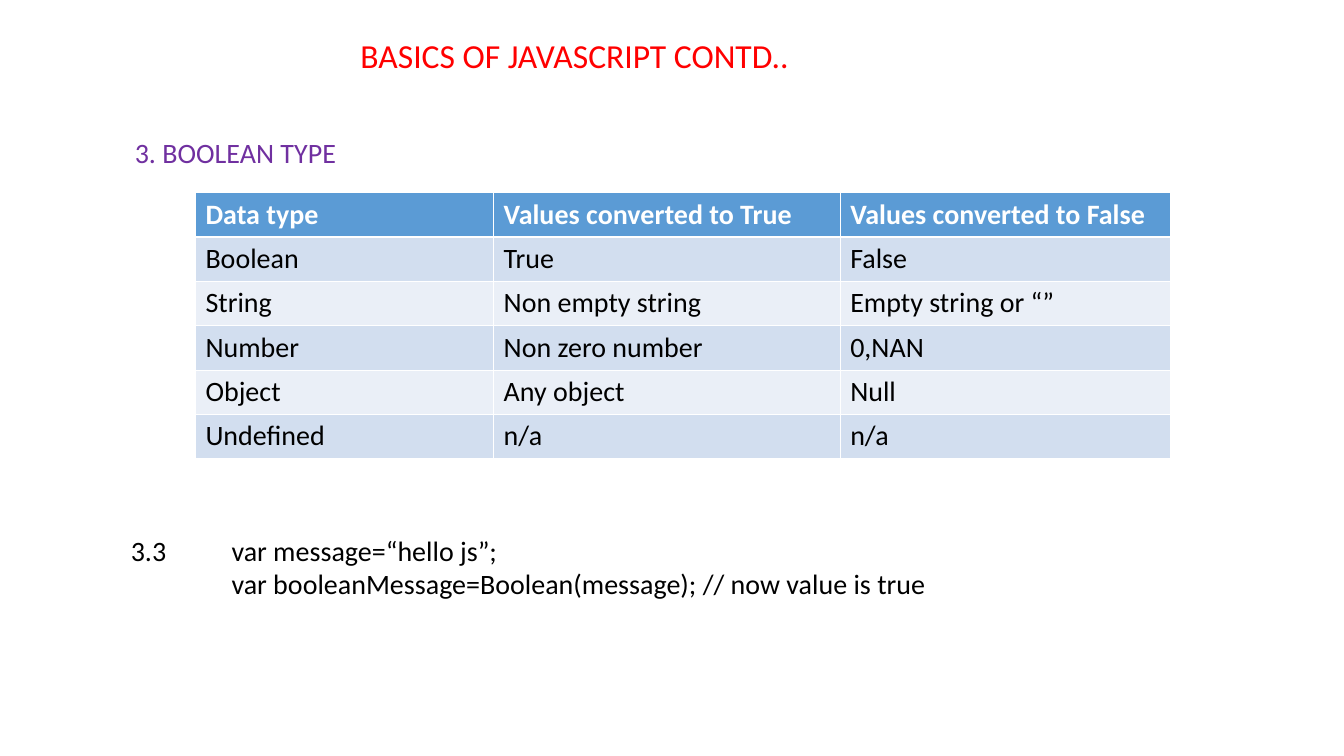
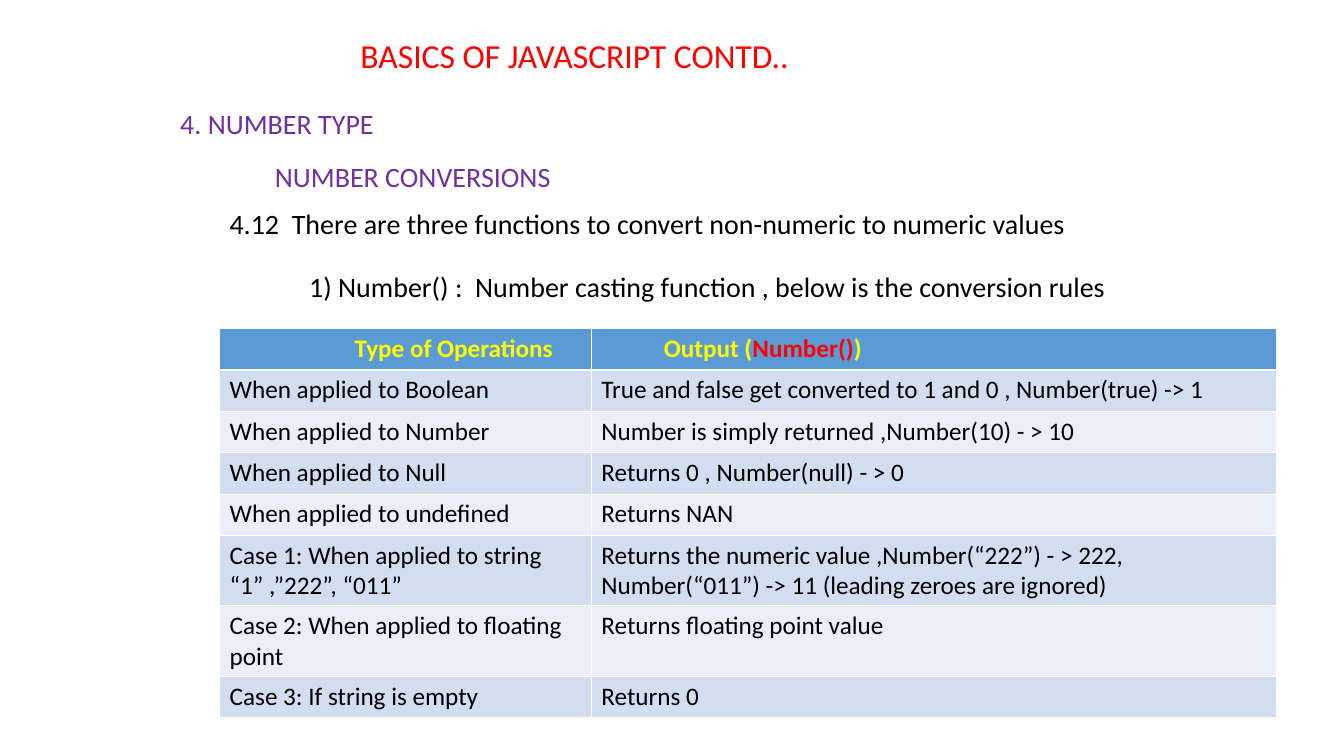
"""Build two slides on JavaScript boolean and number conversions."""
import lxml.etree
import pptx
import pptx.dml.color
import pptx.enum.text
import pptx.oxml.ns
import pptx.util

RGB = pptx.dml.color.RGBColor
RED = RGB(0xFF, 0x00, 0x00)
PURPLE = RGB(0x70, 0x30, 0xA0)
YELLOW = RGB(0xFF, 0xFF, 0x00)
BLACK = RGB(0x00, 0x00, 0x00)
WHITE = RGB(0xFF, 0xFF, 0xFF)
HEADER_BLUE = RGB(0x5B, 0x9B, 0xD5)
BANDS = (RGB(0xEA, 0xEF, 0xF7), RGB(0xD2, 0xDE, 0xEF))
PX = 9144
THIN, THICK = 0.45, 1.47
CELL_INSET = 10


def add_element(parent, tag, **attributes):
    element = lxml.etree.SubElement(parent, pptx.oxml.ns.qn(tag))
    for key, value in attributes.items():
        element.set(key, str(value))
    return element


class Deck:
    def __init__(self, width, height):
        self.presentation = pptx.Presentation()
        self.presentation.slide_width = width * PX
        self.presentation.slide_height = height * PX
        self.slide = None

    def new_slide(self, title):
        layout = self.presentation.slide_layouts[6]
        self.slide = self.presentation.slides.add_slide(layout)
        self.text((348, 30, 497, 50), [title], size=24, color=RED)

    def run(self, paragraph, text, size, color, bold=False):
        run = paragraph.add_run()
        run.text = text
        style = {"name": "Calibri", "size": pptx.util.Pt(size), "bold": bold}
        for key, value in style.items():
            setattr(run.font, key, value)
        run.font.color.rgb = color

    def text(self, box, lines, size=20, color=BLACK, indent=0, tab=0):
        shape = self.slide.shapes.add_textbox(*(length * PX for length in box))
        frame = shape.text_frame
        layout = {
            "word_wrap": True,
            "auto_size": pptx.enum.text.MSO_AUTO_SIZE.SHAPE_TO_FIT_TEXT,
        }
        for key, value in layout.items():
            setattr(frame, key, value)
        for index, line in enumerate(lines):
            paragraph = frame.add_paragraph() if index else frame.paragraphs[0]
            properties = paragraph._p.get_or_add_pPr()
            properties.set("marL", str(indent * PX))
            if tab:
                stops = add_element(properties, "a:tabLst")
                add_element(stops, "a:tab", pos=tab * PX, algn="l")
            self.run(paragraph, line, size, color)

    def heading(self, box, line):
        self.text(box, [line], color=PURPLE, indent=100)

    def cell(self, cell, row, runs, size, inset=CELL_INSET):
        properties = cell._tc.get_or_add_tcPr()
        widths = {
            "a:lnL": THIN,
            "a:lnR": THIN,
            "a:lnT": THICK if row == 1 else THIN,
            "a:lnB": THICK if row == 0 else THIN,
        }
        for side, width in widths.items():
            line = add_element(properties, side, w=pptx.util.Pt(width))
            add_element(add_element(line, "a:solidFill"), "a:srgbClr", val=WHITE)
        cell.fill.solid()
        cell.fill.fore_color.rgb = BANDS[row % 2] if row else HEADER_BLUE
        cell.margin_left = inset * PX
        for text, color in runs:
            self.run(cell.text_frame.paragraphs[0], text, size, color, row == 0)

    def table(self, left, top, widths, heights, header, body, size):
        frame = self.slide.shapes.add_table(
            len(heights), len(widths), left * PX, top * PX,
            sum(widths) * PX, sum(heights) * PX)
        table = frame.table
        for column, width in zip(table.columns, widths):
            column.width = width * PX
        for row, height in zip(table.rows, heights):
            row.height = height * PX
        for column, (inset, runs) in enumerate(header):
            self.cell(table.cell(0, column), 0, runs, size, inset)
        for row, values in enumerate(body, 1):
            for column, value in enumerate(values):
                self.cell(table.cell(row, column), row, [(value, BLACK)], size)


def boolean_slide(deck):
    deck.new_slide("BASICS OF JAVASCRIPT CONTD..")
    deck.heading((24, 130, 347, 44), "3. BOOLEAN TYPE")
    titles = ("Data type", "Values converted to True", "Values converted to False")
    conversions = [
        ("Boolean", "True", "False"),
        ("String", "Non empty string", "Empty string or “”"),
        ("Number", "Non zero number", "0,NAN"),
        ("Object", "Any object", "Null"),
        ("Undefined", "n/a", "n/a"),
    ]
    header = [(CELL_INSET, [(title, WHITE)]) for title in titles]
    deck.table(194, 191, (296, 344, 328), [44] * 6, header, conversions, size=20)
    deck.text((120, 524, 873, 77), [
        "3.3\tvar message=“hello js”;",
        "\tvar booleanMessage=Boolean(message); // now value is true",
    ], tab=100)


def number_slide(deck):
    deck.new_slide("BASICS OF JAVASCRIPT CONTD..")
    deck.heading((69, 101, 355, 44), "4. NUMBER TYPE")
    deck.heading((163, 153, 466, 44), "NUMBER CONVERSIONS")
    deck.text((218, 200, 939, 44), [
        "4.12  There are three functions to convert non-numeric to numeric values"])
    deck.text((297, 262, 842, 44), [
        "1) Number() :  Number casting function , below is the conversion rules"])
    header = [
        (134, [("Type of Operations", YELLOW)]),
        (72, [("Output (", YELLOW), ("Number()", RED), (")", YELLOW)]),
    ]
    rules = [
        ("When applied to Boolean",
         "True and false get converted to 1 and 0 , Number(true) -> 1"),
        ("When applied to Number", "Number is simply returned ,Number(10) - > 10"),
        ("When applied to Null", "Returns 0 , Number(null) - > 0"),
        ("When applied to undefined", "Returns NAN"),
        ("Case 1: When applied to string “1” ,”222”, “011”",
         "Returns the numeric value ,Number(“222”) - > 222, "
         "Number(“011”) -> 11 (leading zeroes are ignored)"),
        ("Case 2: When applied to floating point", "Returns floating point value"),
        ("Case 3: If string is empty", "Returns 0"),
    ]
    heights = [41] * 5 + [70] * 2 + [41]
    deck.table(218, 326, (369, 680), heights, header, rules, size=18)


def main():
    deck = Deck(1334, 750)
    boolean_slide(deck)
    number_slide(deck)
    deck.presentation.save("out.pptx")


if __name__ == "__main__":
    main()
